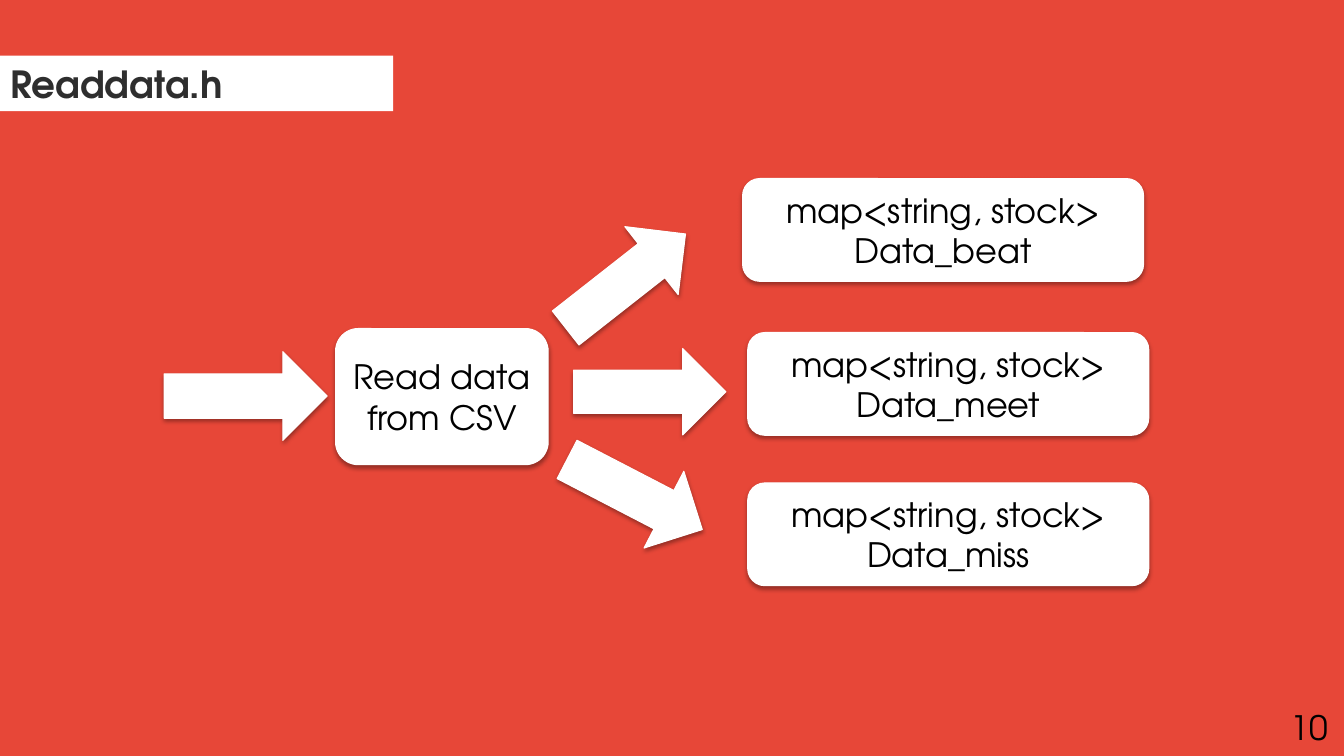
from dataclasses import dataclass
from lxml.etree import SubElement
from pptx import Presentation
from pptx.dml.color import RGBColor
from pptx.enum.shapes import MSO_SHAPE
from pptx.enum.text import MSO_ANCHOR, MSO_AUTO_SIZE, PP_ALIGN
from pptx.oxml.ns import qn
from pptx.util import Cm, Pt


@dataclass(frozen=True)
class Theme:
    font: str = "TeX Gyre Adventor"
    background: str = "E74738"
    panel: str = "FFFFFF"
    shadow: str = "000000"
    title: str = "2E2E2E"
    text: str = "000000"
    title_size: float = 26.7
    text_size: float = 24
    line_width: float = 0.75


class Deck:
    def __init__(self, theme, width, height):
        self.theme = theme
        self.prs = Presentation()
        self.prs.slide_width, self.prs.slide_height = Cm(width), Cm(height)
        self.slide = None

    def add_slide(self):
        self.slide = self.prs.slides.add_slide(self.prs.slide_layouts[5])
        self.fill(self.slide.background, self.theme.background)

    def fill(self, target, color):
        target.fill.solid()
        target.fill.fore_color.rgb = RGBColor.from_string(color)

    def set_text(self, sp, text, size, color, align, anchor, bold=False):
        tf = sp.text_frame
        tf.word_wrap = True
        tf.auto_size = MSO_AUTO_SIZE.NONE
        tf.vertical_anchor = anchor
        p = tf.paragraphs[0]
        p.alignment = align
        r = p.add_run()
        r.text = text
        r.font.name = self.theme.font
        r.font.size = Pt(size)
        r.font.bold = bold
        r.font.color.rgb = RGBColor.from_string(color)

    def title(self, text, left, top, width, height):
        sp = self.slide.shapes.title
        sp.left, sp.top, sp.width, sp.height = map(Cm, (left, top, width, height))
        self.fill(sp, self.theme.panel)
        self.set_text(sp, text, self.theme.title_size, self.theme.title,
                      PP_ALIGN.LEFT, MSO_ANCHOR.MIDDLE, bold=True)

    def panel(self, kind, left, top, width, height):
        sp = self.slide.shapes.add_shape(kind, *map(Cm, (left, top, width, height)))
        self.fill(sp, self.theme.panel)
        sp.line.color.rgb = RGBColor.from_string(self.theme.panel)
        sp.line.width = Pt(self.theme.line_width)
        self.shadow(sp)
        return sp

    def shadow(self, sp):
        sp.shadow.inherit = False
        effects = sp._element.spPr.find(qn("a:effectLst"))
        outer = SubElement(effects, qn("a:outerShdw"), blurRad="40000",
                           dist="23000", dir="5400000", rotWithShape="0")
        color = SubElement(outer, qn("a:srgbClr"), val=self.theme.shadow)
        SubElement(color, qn("a:alpha"), val="35000")

    def box(self, text, left, top, width, height):
        sp = self.panel(MSO_SHAPE.ROUNDED_RECTANGLE, left, top, width, height)
        self.set_text(sp, text, self.theme.text_size, self.theme.text,
                      PP_ALIGN.CENTER, MSO_ANCHOR.MIDDLE)

    def arrow(self, kind, left, top, width, height, rotation=0):
        self.panel(kind, left, top, width, height).rotation = rotation

    def page_number(self, text, left, top, width, height):
        sp = self.slide.shapes.add_textbox(*map(Cm, (left, top, width, height)))
        self.set_text(sp, text, self.theme.text_size, self.theme.text,
                      PP_ALIGN.LEFT, MSO_ANCHOR.TOP)


def main():
    deck = Deck(Theme(), 33.88, 19.05)
    deck.add_slide()
    deck.title("Readdata.h", 0, 1.4, 9.91, 1.4)
    deck.arrow(MSO_SHAPE.RIGHT_ARROW, 4.14, 8.86, 4.11, 2.24)
    deck.box("Read data from CSV", 8.46, 8.28, 5.36, 3.43)

    outputs = [
        ("Data_beat", 18.72, 4.5, 14.68, 5.16, 231.9),
        ("Data_meet", 18.85, 8.38, 15.29, 7.95, 270),
        ("Data_miss", 18.85, 12.17, 14.91, 10.54, 297.4),
    ]
    for name, box_left, box_top, arrow_left, arrow_top, rotation in outputs:
        deck.box(f"map<string, stock> {name}", box_left, box_top, 10.11, 2.59)
        deck.arrow(MSO_SHAPE.DOWN_ARROW, arrow_left, arrow_top, 2.18, 3.84, rotation)

    deck.page_number("10", 32.28, 17.7, 1.57, 1.27)
    deck.prs.save("out.pptx")


if __name__ == "__main__":
    main()
